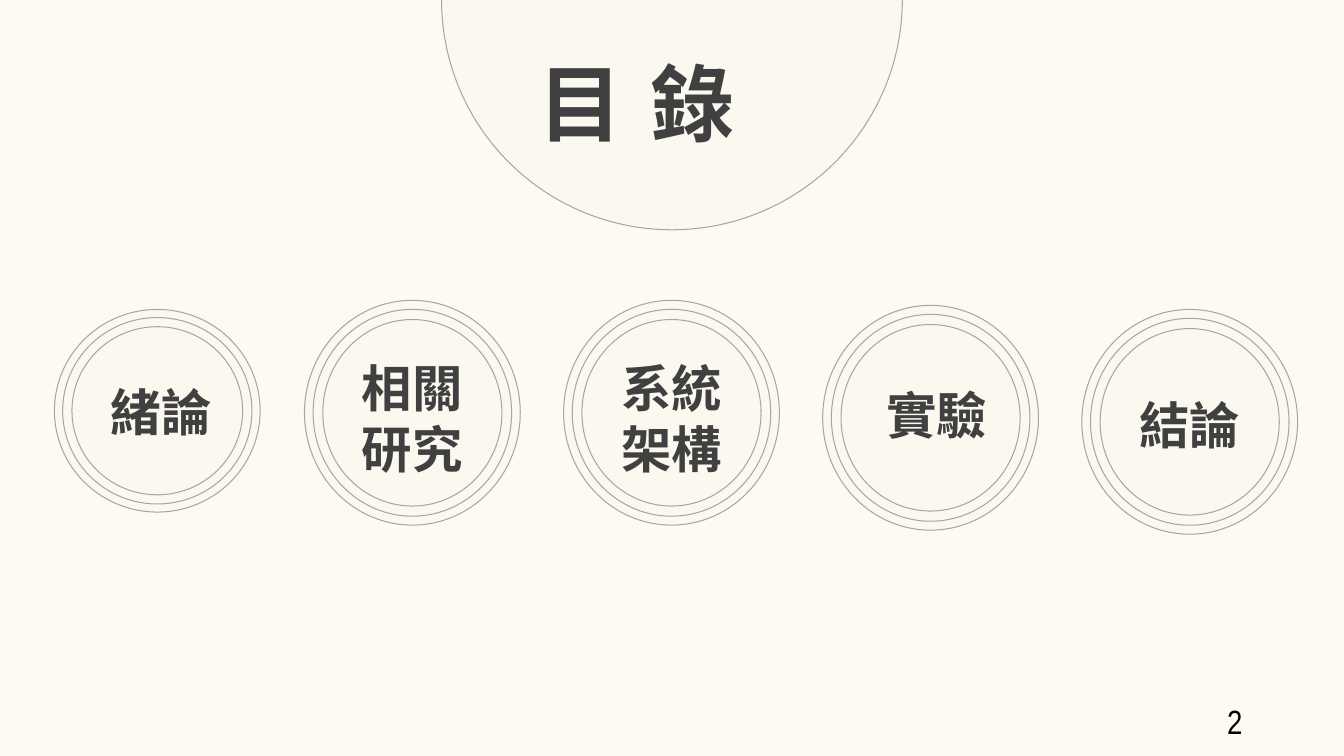
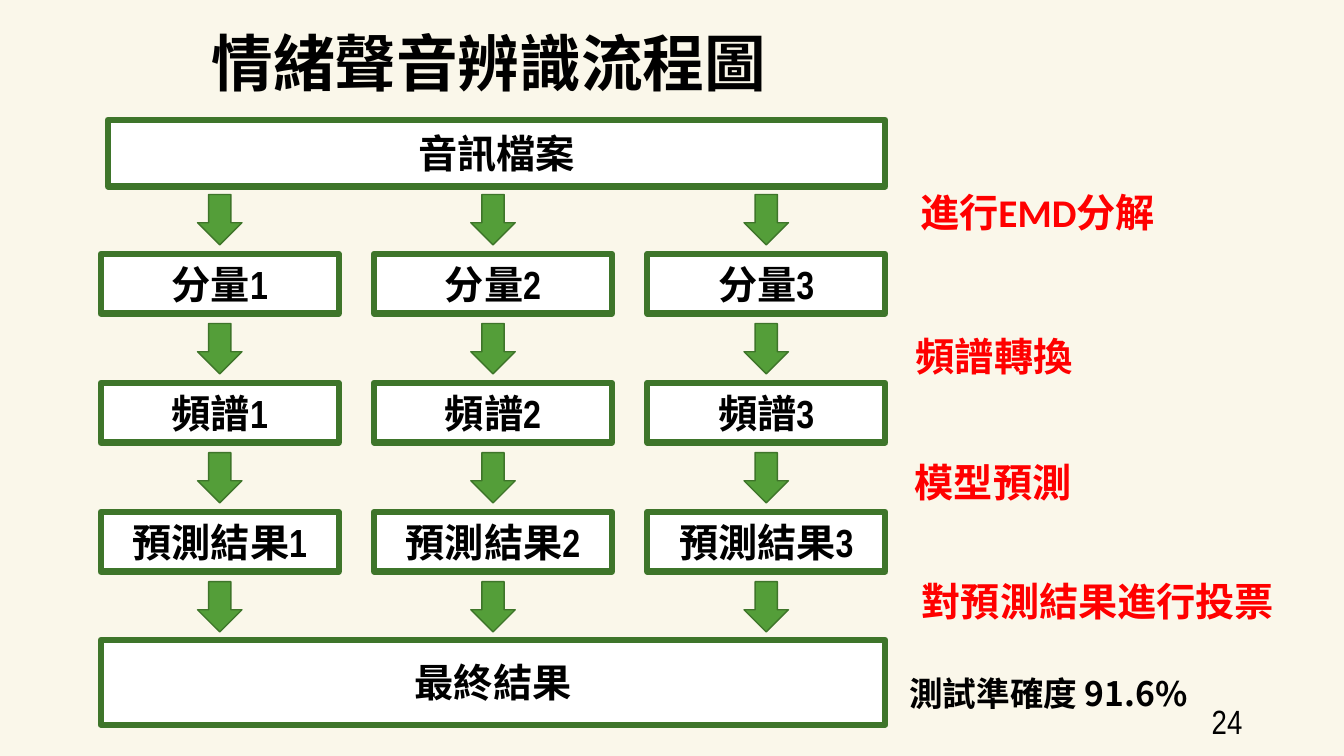
from collections import namedtuple
from dataclasses import dataclass
from math import cos, pi, sin

from lxml.etree import SubElement
from pptx import Presentation
from pptx.dml.color import RGBColor
from pptx.enum.shapes import MSO_SHAPE
from pptx.enum.text import MSO_ANCHOR, PP_ALIGN
from pptx.oxml.ns import qn
from pptx.util import Inches, Pt

Box = namedtuple("Box", "left top width height")


@dataclass(frozen=True)
class Theme:
    contents_back: str = "FCFAF2"
    flow_back: str = "FAF7EA"
    disc: str = "FBF8EF"
    ring: str = "A6A6A6"
    dark: str = "404040"
    black: str = "000000"
    white: str = "FFFFFF"
    red: str = "FF0000"
    arrow: str = "549E39"
    border: str = "3E752A"
    cjk: str = "Noto Sans CJK SC"
    body: str = "Calibri"
    narrow: str = "Arial Narrow"
    cover_size: int = 60
    title_size: int = 44
    label_size: int = 36
    step_size: int = 28
    small_size: int = 24
    line_factor: float = 1.19


THEME = Theme()
PAGE_NUMBER_BOX = Box(9.42, 6.95, 3, 0.4)
RING_SCALES = (1, 0.92, 0.83)


def rgb(value):
    return RGBColor.from_string(value)


def inches(box):
    return [Inches(value) for value in box]


def centred_box(x, y, width, height):
    return Box(x - width / 2, y - height / 2, width, height)


def write(shape, text, size, face, color=THEME.black, bold=True,
          align=PP_ALIGN.CENTER, anchor=MSO_ANCHOR.TOP, spacing=None):
    """Fill a shape with one formatted paragraph; spacing is in points."""
    frame = shape.text_frame
    frame.word_wrap = True
    frame.vertical_anchor = anchor
    paragraph = frame.paragraphs[0]
    paragraph.alignment = align
    paragraph.line_spacing = Pt(round(size * THEME.line_factor))
    run = paragraph.add_run()
    run.text = text
    formats = {"size": Pt(size), "name": face, "bold": bold}
    for attribute, value in formats.items():
        setattr(run.font, attribute, value)
    run.font.color.rgb = rgb(color)
    properties = run.font._element
    SubElement(properties, qn("a:ea")).set("typeface", THEME.cjk)
    if spacing:
        properties.set("spc", str(spacing * 100))


def add_label(slide, box, text, size, face, **formats):
    write(slide.shapes.add_textbox(*inches(box)), text, size, face, **formats)


def paint(shape, fill, line, width):
    shape.shadow.inherit = False
    shape.fill.solid()
    shape.fill.fore_color.rgb = rgb(fill)
    shape.line.color.rgb = rgb(line)
    shape.line.width = Pt(width)


def add_painted(slide, kind, box, fill, line, width):
    shape = slide.shapes.add_shape(kind, *inches(box))
    paint(shape, fill, line, width)
    return shape


def add_page(deck, background, number):
    slide = deck.slides.add_slide(deck.slide_layouts[6])
    slide.background.fill.solid()
    slide.background.fill.fore_color.rgb = rgb(background)
    add_label(slide, PAGE_NUMBER_BOX, str(number), THEME.small_size,
              THEME.narrow, bold=False, align=PP_ALIGN.RIGHT,
              anchor=MSO_ANCHOR.MIDDLE)
    return slide


def add_title_dome(slide, box, text):
    """Draw the lower half of a circle hanging from the top of the box."""
    centre, radius = box.left + box.width / 2, box.width / 2
    steps = 90
    rim = [(Inches(centre + radius * cos(pi * step / steps)),
            Inches(box.top + box.height * sin(pi * step / steps)))
           for step in range(steps + 1)]
    outline = slide.shapes.build_freeform(*rim[0])
    outline.add_line_segments(rim[1:], close=False)
    paint(outline.convert_to_shape(), THEME.disc, THEME.ring, 0)
    title_box = Box(box.left + 0.86, box.top + 0.48, 3.13, 1.11)
    add_label(slide, title_box, text, THEME.cover_size, THEME.cjk,
              color=THEME.dark, align=PP_ALIGN.JUSTIFY, spacing=20)


def add_chapter(slide, box, text, shift, drop):
    """Draw three nested rings; shift and drop place the label in the box."""
    x, y = box.left + box.width / 2, box.top + box.height / 2
    for scale in RING_SCALES:
        ring_box = centred_box(x, y, box.width * scale, box.height * scale)
        add_painted(slide, MSO_SHAPE.OVAL, ring_box,
                    THEME.disc, THEME.ring, 0)
    label_box = Box(x - 0.83 + shift, box.top + drop, 1.66, 0.71)
    add_label(slide, label_box, text, THEME.label_size, THEME.cjk,
              color=THEME.dark)


def build_contents(deck):
    slide = add_page(deck, THEME.contents_back, 2)
    add_title_dome(slide, Box(4.38, 0, 4.57, 2.28), "目錄")
    add_chapter(slide, Box(0.54, 3.07, 2.04, 2.01), "緒論", 0.04, 0.66)
    chapters = [("相關研究", 2.98, 0, 0.52), ("系統架構", 2.98, 0, 0.52),
                ("實驗", 3.03, 0.06, 0.73), ("結論", 3.07, 0, 0.79)]
    for column, (text, top, shift, drop) in enumerate(chapters):
        box = Box(3.02 + 2.57 * column, top, 2.14, 2.23)
        add_chapter(slide, box, text, shift, drop)


def add_step(slide, box, text):
    step = add_painted(slide, MSO_SHAPE.RECTANGLE, box,
                       THEME.white, THEME.border, 4.5)
    write(step, text, THEME.step_size, THEME.narrow,
          anchor=MSO_ANCHOR.MIDDLE)


def add_flow(slide, box):
    """Draw the file, three parallel branches and the final result."""
    step_width, step_height = 2.36, 0.59
    column_pitch = (box.width - step_width) / 2
    row_pitch, first_row = 1.28, box.top + 1.33
    stages = ("分量", "頻譜", "預測結果")
    add_step(slide, Box(box.left + 0.07, box.top, box.width - 0.07, 0.66),
             "音訊檔案")
    for branch in range(3):
        left = box.left + column_pitch * branch
        for row, stage in enumerate(stages):
            add_step(slide, Box(left, first_row + row_pitch * row,
                                step_width, step_height),
                     f"{stage}{branch + 1}")
        for row in range(len(stages) + 1):
            arrow_box = centred_box(left + step_width / 2,
                                    first_row - 0.34 + row_pitch * row,
                                    0.44, 0.5)
            add_painted(slide, MSO_SHAPE.DOWN_ARROW, arrow_box,
                        THEME.arrow, THEME.border, 1)
    add_step(slide, Box(box.left, box.top + box.height - 0.84,
                        box.width, 0.84), "最終結果")


def add_remarks(slide, box):
    """Place the red remarks by centre and top, with the accuracy below."""
    remarks = [("進行EMD分解", 1.37, 0), ("頻譜轉換", 0.94, 1.43),
               ("模型預測", 0.93, 2.68), ("對預測結果進行投票", 1.97, 3.86)]
    for text, centre, drop in remarks:
        remark_box = Box(box.left + centre - box.width / 2, box.top + drop,
                         box.width, 0.57)
        add_label(slide, remark_box, text, THEME.step_size, THEME.body,
                  color=THEME.red)
    accuracy_box = Box(box.left, box.top + box.height - 0.5, box.width, 0.5)
    add_label(slide, accuracy_box, "測試準確度 91.6%", THEME.small_size,
              THEME.cjk, align=PP_ALIGN.LEFT)


def build_flow(deck):
    slide = add_page(deck, THEME.flow_back, 24)
    add_label(slide, Box(0.98, 0.21, 7.74, 0.84), "情緒聲音辨識流程圖",
              THEME.title_size, THEME.body)
    add_flow(slide, Box(1.0, 1.19, 7.78, 6))
    add_remarks(slide, Box(8.92, 1.83, 3.95, 5.29))


def main():
    deck = Presentation()
    deck.slide_width, deck.slide_height = Inches(13.33), Inches(7.5)
    build_contents(deck)
    build_flow(deck)
    deck.save("out.pptx")


if __name__ == "__main__":
    main()
